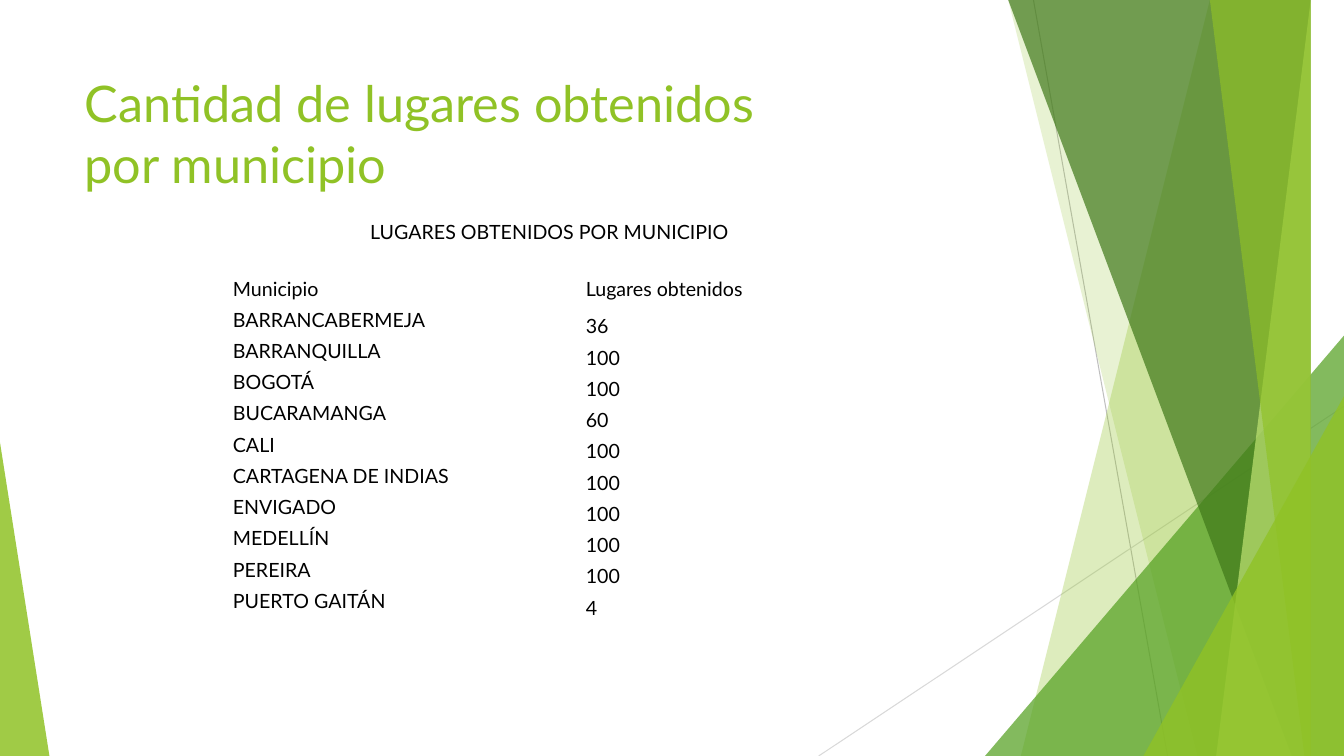
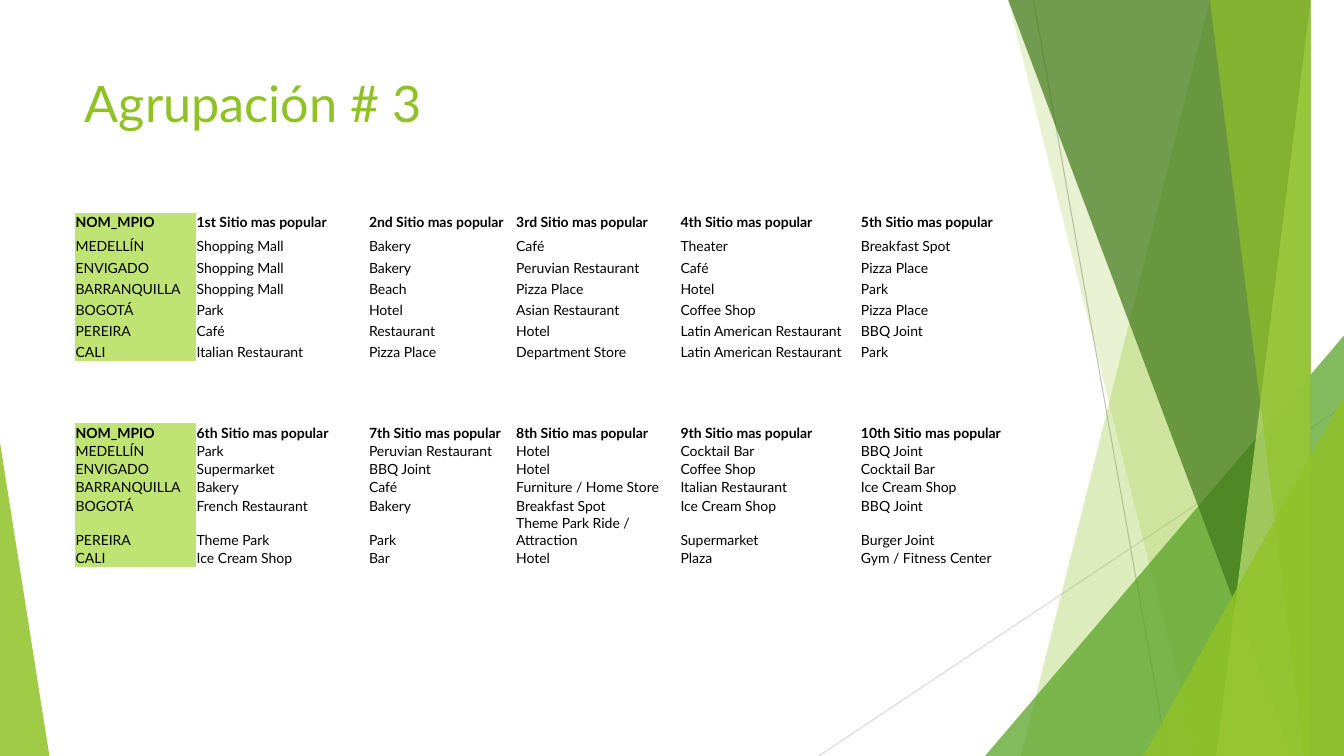
from lxml import etree
from pptx import Presentation
from pptx import util as u
from pptx.dml.color import RGBColor
from pptx.enum import shapes, text
from pptx.oxml import ns

HUES = {"lime": "90C226", "green": "54A021", "dark": "3F7819", "pale": "C0E474",
        "white": "FFFFFF", "black": "000000", "grey": "BFBFBF", "mist": "D9D9D9"}
FONT = "Lato"
WIDE, HIGH = 13.33, 7.5
TITLE = (0.74, 0.67, 9.4, 1.44)
TOP, END = text.MSO_ANCHOR.TOP, text.MSO_ANCHOR.BOTTOM

LINES = [((10.25, 0), (11.58, HIGH), "grey"), ((WIDE, 4.03), (8.12, HIGH), "mist")]
# Ribbons: top x, bottom x, hue, opacity. Wedges: box, apex, hue, opacity.
BACK = [(12.28, 10.04, "lime", 30), (10.5, 11.83, "lime", 20)]
FRONT = [(10.21, 12.91, "dark", 70), (13.03, 11.92, "pale", 70), (11.96, 13.18, "lime", 65)]
MID = [((9.77, 3.33, 3.56, 4.17), 1, "green", 72)]
ENDS = [((11.34, 3.93, 1.99, 3.57), 1, "lime", 80), ((0, 4.39, 0.49, 3.11), 0, "lime", 85)]

PLACES = [("BARRANCABERMEJA", 36), ("BARRANQUILLA", 100), ("BOGOTÁ", 100),
          ("BUCARAMANGA", 60), ("CALI", 100), ("CARTAGENA DE INDIAS", 100),
          ("ENVIGADO", 100), ("MEDELLÍN", 100), ("PEREIRA", 100), ("PUERTO GAITÁN", 4)]
TOWNS = ["MEDELLÍN", "ENVIGADO", "BARRANQUILLA", "BOGOTÁ", "PEREIRA", "CALI"]
FIRST = [
    ["Shopping Mall", "Bakery", "Café", "Theater", "Breakfast Spot"],
    ["Shopping Mall", "Bakery", "Peruvian Restaurant", "Café", "Pizza Place"],
    ["Shopping Mall", "Beach", "Pizza Place", "Hotel", "Park"],
    ["Park", "Hotel", "Asian Restaurant", "Coffee Shop", "Pizza Place"],
    ["Café", "Restaurant", "Hotel", "Latin American Restaurant", "BBQ Joint"],
    ["Italian Restaurant", "Pizza Place", "Department Store", "Latin American Restaurant",
     "Park"],
]
LAST = [
    ["Park", "Peruvian Restaurant", "Hotel", "Cocktail Bar", "BBQ Joint"],
    ["Supermarket", "BBQ Joint", "Hotel", "Coffee Shop", "Cocktail Bar"],
    ["Bakery", "Café", "Furniture / Home Store", "Italian Restaurant", "Ice Cream Shop"],
    ["French Restaurant", "Bakery", "Breakfast Spot", "Ice Cream Shop", "BBQ Joint"],
    ["Theme Park", "Park", "Theme Park Ride / Attraction", "Supermarket", "Burger Joint"],
    ["Ice Cream Shop", "Bar", "Hotel", "Plaza", "Gym / Fitness Center"],
]


def rgb(hue):
    """Return the named colour."""
    return RGBColor.from_string(HUES[hue])


def box(vals):
    """Turn inches into lengths."""
    return [u.Inches(v) for v in vals]


def style(para, size, hue, bold=False):
    """Format the runs of a paragraph."""
    for run in para.runs:
        font = run.font
        font.name, font.size, font.bold = FONT, u.Pt(size), bold
        font.color.rgb = rgb(hue)


def paint(shape, hue, alpha):
    """Fill a shape with a see-through colour and no outline."""
    shape.shadow.inherit = False
    shape.fill.solid()
    shape.fill.fore_color.rgb = rgb(hue)
    shape.line.fill.background()
    tint = shape._element.spPr.find(ns.qn("a:solidFill"))[0]
    etree.SubElement(tint, ns.qn("a:alpha"), val=str(alpha * 1000))


def ribbon(group, top, base, hue, alpha):
    """Draw a band from its slanted left edge to the right of the slide."""
    pen = group.shapes.build_freeform(top, -0.01, scale=float(u.Inches(1)))
    pen.add_line_segments([(WIDE, -0.01), (WIDE, HIGH), (base, HIGH)], close=True)
    paint(pen.convert_to_shape(), hue, alpha)


def wedge(group, area, apex, hue, alpha):
    """Draw a right triangle."""
    shape = group.shapes.add_shape(shapes.MSO_SHAPE.ISOSCELES_TRIANGLE, *box(area))
    shape.adjustments[0] = apex
    paint(shape, hue, alpha)


def decor(slide):
    """Draw the facets that frame each slide."""
    group = slide.shapes.add_group_shape()
    for start, stop, hue in LINES:
        line = group.shapes.add_connector(shapes.MSO_CONNECTOR.STRAIGHT, *box(start + stop))
        line.line.color.rgb = rgb(hue)
        line.line.width = u.Pt(0.75)
        etree.SubElement(line._element.spPr, ns.qn("a:effectLst"))
    for draw, parts in ((ribbon, BACK), (wedge, MID), (ribbon, FRONT), (wedge, ENDS)):
        for part in parts:
            draw(group, *part)


def base(deck, name):
    """Add a slide with its facets and title."""
    slide = deck.slides.add_slide(deck.slide_layouts[5])
    decor(slide)
    title = slide.shapes.title
    title.left, title.top, title.width, title.height = box(TITLE)
    frame = title.text_frame
    frame.text = name
    frame.word_wrap = True
    frame.auto_size = text.MSO_AUTO_SIZE.NONE
    frame.vertical_anchor = TOP
    frame.paragraphs[0].alignment = text.PP_ALIGN.LEFT
    style(frame.paragraphs[0], 36, "lime")
    return slide


def edge(cell, hue):
    """Set all four borders of a cell, or clear them when hue is None."""
    props = cell._tc.get_or_add_tcPr()
    for side in "LRTB":
        line = etree.SubElement(props, ns.qn("a:ln" + side), w=str(u.Pt(1)))
        if hue:
            fill = etree.SubElement(line, ns.qn("a:solidFill"))
            etree.SubElement(fill, ns.qn("a:srgbClr"), val=HUES[hue])
        else:
            etree.SubElement(line, ns.qn("a:noFill"))


def put(cell, words, size, anchor, fill="white", bold=False, rim=None):
    """Write and format one cell."""
    edge(cell, rim)
    cell.fill.solid()
    cell.fill.fore_color.rgb = rgb(fill)
    cell.margin_left = cell.margin_right = cell.margin_top = u.Inches(0.01)
    cell.margin_bottom = 0
    cell.vertical_anchor = anchor
    cell.text_frame.text = str(words)
    style(cell.text_frame.paragraphs[0], size, "black", bold)


def grid(slide, left, top, cols, rows):
    """Add a plain table with the given column widths and row heights."""
    area = box((left, top, sum(cols), sum(rows)))
    table = slide.shapes.add_table(len(rows), len(cols), *area).table
    table.first_row = table.horz_banding = False
    for col, size in zip(table.columns, cols):
        col.width = u.Inches(size)
    for row, size in zip(table.rows, rows):
        row.height = u.Inches(size)
    return table


def count(slide, left, top):
    """Place the table of places per town."""
    rows = [("LUGARES OBTENIDOS POR MUNICIPIO", ""), ("", ""),
            ("Municipio", "Lugares obtenidos")] + PLACES
    table = grid(slide, left, top, [3.5, 2.8], [0.31] * len(rows))
    for r, row in enumerate(rows):
        for c, words in enumerate(row):
            low = r == 0 or (r > 2 and c == 1)
            put(table.cell(r, c), words, 14, END if low else TOP, rim="white")
    for r in (0, 1):
        table.cell(r, 0).merge(table.cell(r, 1))
    table.cell(0, 0).text_frame.paragraphs[0].alignment = text.PP_ALIGN.CENTER


def rank(slide, left, top, ranks, sites, rows):
    """Place a table of the favourite sites of each town."""
    table = grid(slide, left, top, [1.2, 1.71, 1.46, 1.63, 1.79, 1.6], rows)
    lines = [["NOM_MPIO"] + [f"{n} Sitio mas popular" for n in ranks]]
    lines += [[town] + row for town, row in zip(TOWNS, sites)]
    for r, row in enumerate(lines):
        for c, words in enumerate(row):
            put(table.cell(r, c), words, 10, END if r else TOP,
                "white" if c else "pale", r == 0)


deck = Presentation()
deck.slide_width, deck.slide_height = box((WIDE, HIGH))
count(base(deck, "Cantidad de lugares obtenidos\vpor municipio"), 2.3, 2.11)
group = base(deck, "Agrupación # 3")
rank(group, 0.74, 2.11, ["1st", "2nd", "3rd", "4th", "5th"], FIRST, [0.21] * 7)
rank(group, 0.74, 4.2, ["6th", "7th", "8th", "9th", "10th"], LAST,
     [0.18] * 5 + [0.34, 0.18])
deck.save("out.pptx")
